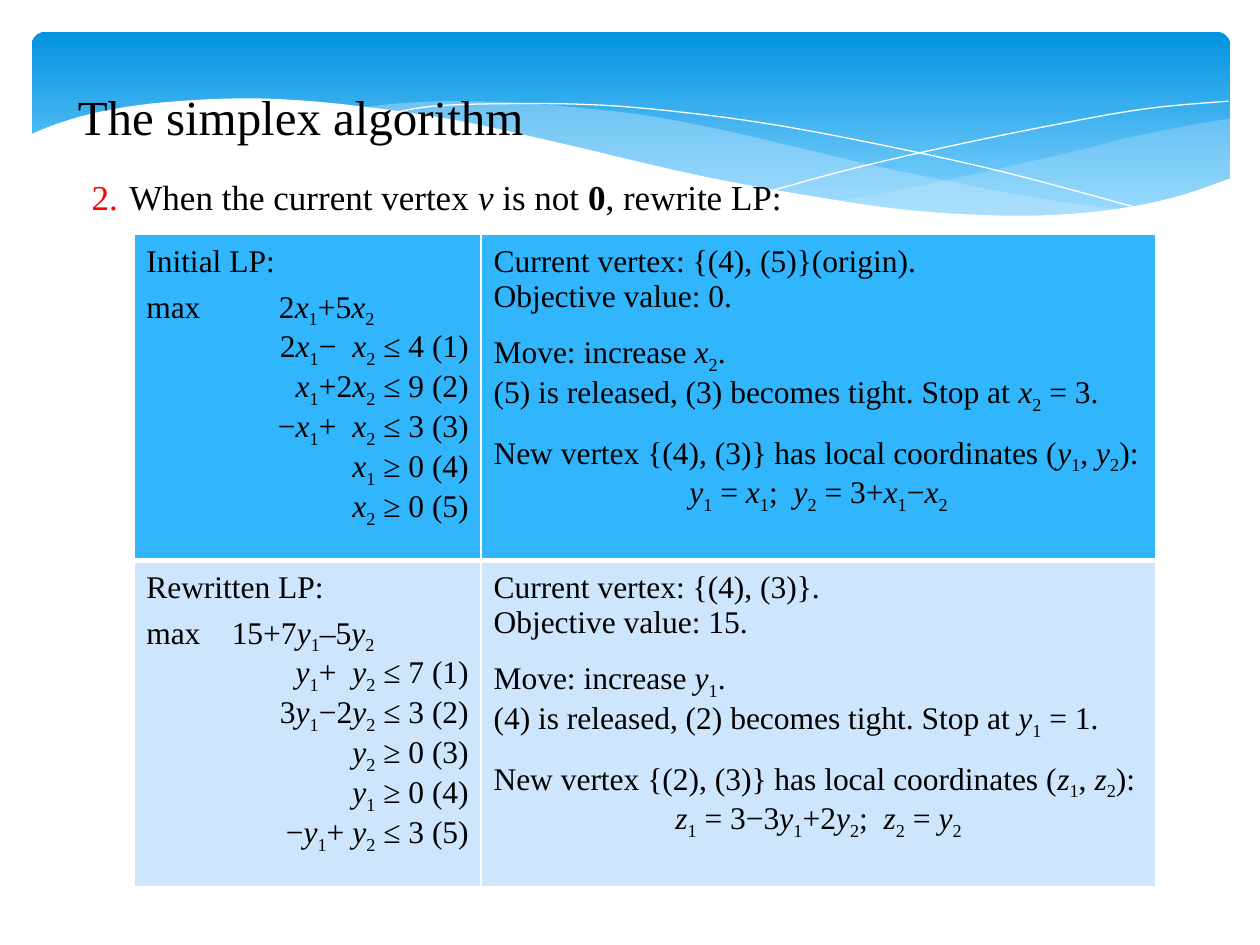
from lxml.etree import SubElement
from pptx import Presentation
from pptx.dml.color import RGBColor
from pptx.enum.shapes import MSO_SHAPE
from pptx.enum.text import MSO_ANCHOR, PP_ALIGN
from pptx.oxml.ns import qn
from pptx.util import Cm, Pt

FONT = "Times New Roman"
BLACK = RGBColor(0x00, 0x00, 0x00)
WHITE = RGBColor(0xFF, 0xFF, 0xFF)
RED = RGBColor(0xFF, 0x00, 0x00)
DEEP_BLUE = RGBColor(0x02, 0x93, 0xE0)
SKY_BLUE = RGBColor(0x83, 0xD3, 0xFE)
MIST = RGBColor(0xC6, 0xE7, 0xFC)
INITIAL_FILL = RGBColor(0x31, 0xB6, 0xFD)
REWRITTEN_FILL = RGBColor(0xCE, 0xE5, 0xFE)

RIGHT_WAVE_TOP = [(24.16, 1.75), (23.11, 1.93), (22, 2.16), (21.23, 2.36), (19.15, 2.84),
                  (17.3, 3.23), (16.15, 3.43)]
RIGHT_WAVE_BOTTOM = [(16.15, 3.43), (17.27, 3.56), (18.59, 3.68), (20.04, 3.73),
                     (21.29, 3.68), (22.35, 3.51), (23.29, 3.28), (24.16, 2.95)]
LONG_WAVE_TOP = [(22.05, 3.61), (19.86, 3.28), (17.3, 2.77), (15.34, 2.31), (13.82, 1.96),
                 (12.12, 1.65), (10.03, 1.45), (8.53, 1.4), (7.32, 1.45), (6.63, 1.55)]
LONG_WAVE_BOTTOM = [(6.63, 1.55), (8.05, 1.75), (9.63, 2.06), (11.84, 2.57), (13.74, 3),
                    (15.47, 3.33), (17.02, 3.56), (18.69, 3.71), (20.14, 3.76),
                    (21.13, 3.71), (22.05, 3.61)]
FALLING_LINE = [(7.21, 1.65), (8.1, 1.5), (9.55, 1.45), (11.28, 1.47), (12.9, 1.6),
                (14.81, 1.85), (17.02, 2.26), (19.56, 2.82), (22.4, 3.58)]
RISING_LINE = [(14.94, 3.2), (16.43, 2.79), (18.36, 2.34), (20.6, 1.88), (22.48, 1.55),
               (24.13, 1.4)]
WHITE_EDGE = [(24.18, 2.95), (22.99, 3.35), (21.59, 3.61), (19.91, 3.71), (17.81, 3.61),
              (15.82, 3.33), (13.46, 2.9), (10.72, 2.26), (8.64, 1.8), (6.78, 1.52),
              (5.21, 1.37), (3.86, 1.35), (2.39, 1.45), (1.3, 1.63), (0.53, 1.85),
              (-0.05, 2.08)]
WHITE_BASE = [(-0.05, 5.05), (24.18, 5.05)]

LP_ROWS = [
    (INITIAL_FILL,
     ["Initial LP:", "max\t2x_1+5x_2", "2x_1−  x_2 ≤ 4 (1)", "x_1+2x_2 ≤ 9 (2)",
      "−x_1+  x_2 ≤ 3 (3)", "x_1 ≥ 0 (4)", "x_2 ≥ 0 (5)"],
     ["Current vertex: {(4), (5)}(origin).", "Objective value: 0.", "Move: increase x_2.",
      "(5) is released, (3) becomes tight. Stop at x_2 = 3.",
      "New vertex {(4), (3)} has local coordinates (y_1, y_2):",
      "y_1 = x_1;  y_2 = 3+x_1−x_2"]),
    (REWRITTEN_FILL,
     ["Rewritten LP:", "max\t15+7y_1–5y_2", "y_1+  y_2 ≤ 7 (1)", "3y_1−2y_2 ≤ 3 (2)",
      "y_2 ≥ 0 (3)", "y_1 ≥ 0 (4)", "−y_1+ y_2 ≤ 3 (5)"],
     ["Current vertex: {(4), (3)}.", "Objective value: 15.", "Move: increase y_1.",
      "(4) is released, (2) becomes tight. Stop at y_1 = 1.",
      "New vertex {(2), (3)} has local coordinates (z_1, z_2):",
      "z_1 = 3−3y_1+2y_2;  z_2 = y_2"]),
]


def smooth(points, steps=5):
    padded = [points[0], *points, points[-1]]
    curve = [points[0]]
    for a, b, c, d in zip(padded, padded[1:], padded[2:], padded[3:]):
        for i in range(1, steps + 1):
            t = i / steps
            curve.append(tuple(
                (2 * q + (r - p) * t + (2 * p - 5 * q + 4 * r - s) * t ** 2
                 + (3 * q - p - 3 * r + s) * t ** 3) / 2
                for p, q, r, s in zip(a, b, c, d)))
    return curve


def add_outline(s, left, top, points, color, alpha=100, closed=True):
    start, *rest = [(Cm(left + x), Cm(top + y)) for x, y in points]
    builder = s.shapes.build_freeform(*start)
    builder.add_line_segments(rest, close=closed)
    sp = builder.convert_to_shape()
    sp.shadow.inherit = False
    if not closed:
        sp.fill.background()
        sp.line.color.rgb = color
        sp.line.width = Pt(0)
        return
    sp.fill.solid()
    sp.fill.fore_color.rgb = color
    sp.line.fill.background()
    if alpha < 100:
        clr = sp.fill._xPr.find(qn("a:solidFill"))[0]
        SubElement(clr, qn("a:alpha"), val=str(alpha * 1000))


def add_header(s, left, top, width, height):
    sp = s.shapes.add_shape(MSO_SHAPE.ROUNDED_RECTANGLE, Cm(left), Cm(top), Cm(width), Cm(height))
    sp.adjustments[0] = 0.07
    sp.shadow.inherit = False
    sp.line.fill.background()
    sp.fill.gradient()
    sp.fill.gradient_angle = 270
    for stop, color, position in zip(sp.fill.gradient_stops, (DEEP_BLUE, SKY_BLUE), (0, 0.9)):
        stop.color.rgb = color
        stop.position = position
    add_outline(s, left, top, smooth(RIGHT_WAVE_TOP) + smooth(RIGHT_WAVE_BOTTOM), MIST, 29)
    add_outline(s, left, top, smooth(LONG_WAVE_TOP) + smooth(LONG_WAVE_BOTTOM), MIST, 40)
    for line in (FALLING_LINE, RISING_LINE):
        add_outline(s, left, top, smooth(line), WHITE, closed=False)
    add_outline(s, left, top, smooth(WHITE_EDGE) + WHITE_BASE, WHITE)


def add_run(p, text, size, italic=False, bold=False):
    r = p.add_run()
    r.text = text
    r.font.name = FONT
    r.font.size = Pt(size)
    r.font.color.rgb = BLACK
    r.font.italic = italic
    r.font.bold = bold
    return r


def add_math(p, text, size=18):
    first, *others = text.split("_")
    pieces = [first] + [piece[1:] for piece in others]
    for i, piece in enumerate(pieces):
        last = i == len(others)
        plain = piece if last else piece[:-1]
        if plain:
            add_run(p, plain, size)
        if not last:
            add_run(p, piece[-1], size, italic=True)
            sub = add_run(p, others[i][0], size)
            sub.font._element.set("baseline", "-25000")


def add_text_box(s, left, top, width, height):
    tf = s.shapes.add_textbox(Cm(left), Cm(top), Cm(width), Cm(height)).text_frame
    tf.word_wrap = True
    return tf


def add_title(s, left, top, width, height):
    tf = add_text_box(s, left, top, width, height)
    tf.vertical_anchor = MSO_ANCHOR.MIDDLE
    add_run(tf.paragraphs[0], "The simplex algorithm", 28)


def add_step(s, left, top, width, height):
    p = add_text_box(s, left, top, width, height).paragraphs[0]
    pPr = p._p.get_or_add_pPr()
    pPr.set("marL", str(Cm(0.76)))
    pPr.set("indent", str(-Cm(0.76)))
    SubElement(SubElement(pPr, qn("a:buClr")), qn("a:srgbClr"), val=str(RED))
    SubElement(pPr, qn("a:buAutoNum"), type="arabicPeriod", startAt="2")
    p.line_spacing = 1.1
    add_run(p, "When the current vertex ", 20)
    add_run(p, "v", 20, italic=True)
    add_run(p, " is not ", 20)
    add_run(p, "0", 20, bold=True)
    add_run(p, ", rewrite LP:", 20)


def style_cell(cell, fill, bottom):
    cell.margin_left = cell.margin_right = Cm(0.25)
    cell.margin_top = cell.margin_bottom = Cm(0.2)
    tcPr = cell._tc.get_or_add_tcPr()
    for side, width in (("L", 1), ("R", 1), ("T", 1), ("B", bottom)):
        ln = SubElement(tcPr, qn(f"a:ln{side}"), w=str(Pt(width)))
        SubElement(SubElement(ln, qn("a:solidFill")), qn("a:srgbClr"), val=str(WHITE))
    cell.fill.solid()
    cell.fill.fore_color.rgb = fill


def fill_cell(cell, lines, aligns, gaps):
    tf = cell.text_frame
    for i, line in enumerate(lines):
        p = tf.add_paragraph() if i else tf.paragraphs[0]
        if "\t" in line:
            tabs = SubElement(p._p.get_or_add_pPr(), qn("a:tabLst"))
            SubElement(tabs, qn("a:tab"), pos=str(Cm(4.6)), algn="r")
        p.alignment = aligns.get(i, PP_ALIGN.LEFT)
        if i in gaps:
            p.space_after = Pt(gaps[i])
        add_math(p, line)


def add_lp_table(s, left, top, width, height):
    table = s.shapes.add_table(2, 2, Cm(left), Cm(top), Cm(width), Cm(height)).table
    table.first_row = table.horz_banding = False
    table.columns[0].width = Cm(7)
    table.columns[1].width = Cm(width - 7)
    for i, (fill, program, steps) in enumerate(LP_ROWS):
        for cell in table.rows[i].cells:
            style_cell(cell, fill, bottom=1 if i else 3)
        fill_cell(table.cell(i, 0), program, {n: PP_ALIGN.RIGHT for n in range(2, 7)}, {0: 6})
        fill_cell(table.cell(i, 1), steps, {5: PP_ALIGN.CENTER}, {1: 12, 3: 12})


def main():
    prs = Presentation()
    prs.slide_width, prs.slide_height = Cm(25.4), Cm(19.05)
    s = prs.slides.add_slide(prs.slide_layouts[6])
    add_header(s, 0.64, 0.64, 24.16, 3.96)
    add_step(s, 1.6, 3.33, 22.3, 14.6)
    add_title(s, 1.32, 1.35, 22.86, 1.98)
    add_lp_table(s, 2.7, 4.73, 20.6, 11.88)
    prs.save("out.pptx")


if __name__ == "__main__":
    main()
